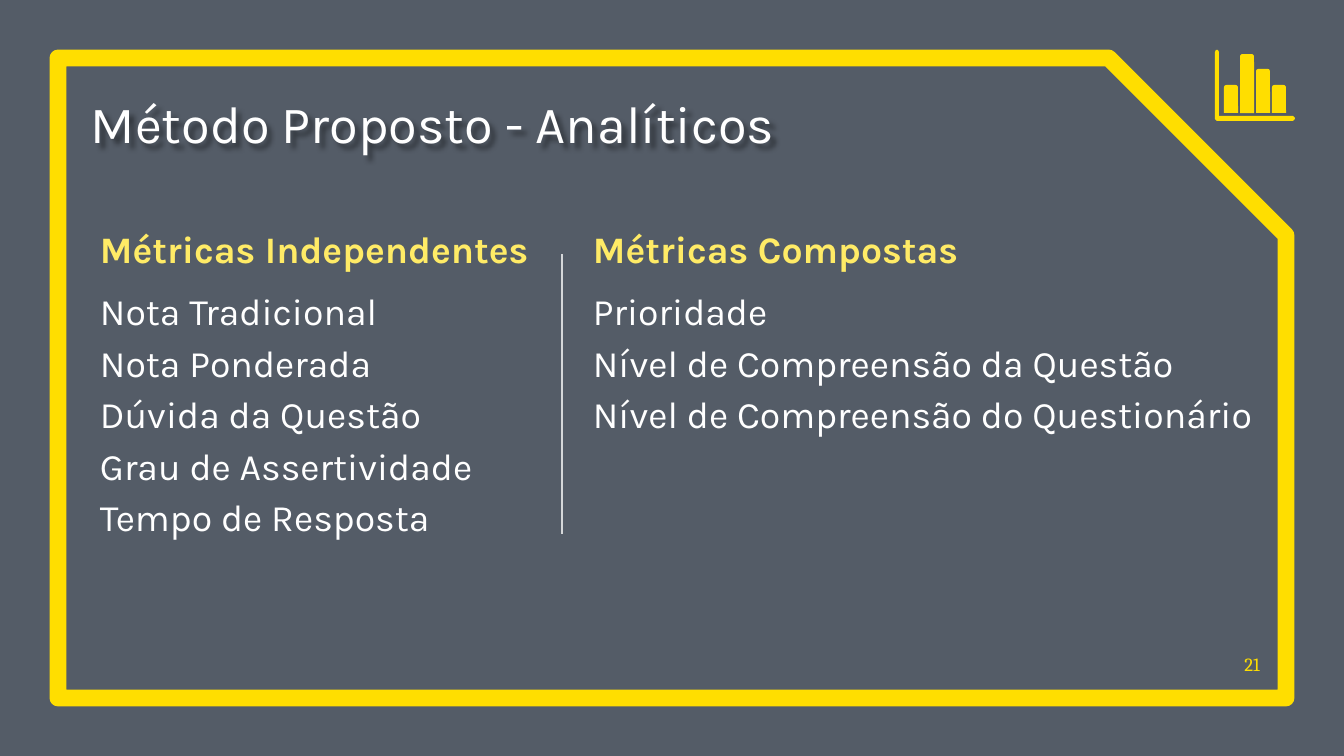
"""Build the slide listing independent and composite analytics metrics."""
import lxml.etree
import pptx
import pptx.dml.color
import pptx.enum.shapes
import pptx.enum.text
import pptx.oxml
import pptx.oxml.ns
import pptx.util

PX = 914400 / 134.4
COLORS = {
    "background": "545C67",
    "yellow": "FFDE00",
    "heading": "FFEB66",
    "text": "FFFFFF",
    "divider": "D5D7D9",
}
SHAPES = pptx.enum.shapes.MSO_SHAPE
ANCHORS = pptx.enum.text.MSO_ANCHOR


def emu(*lengths):
    return [round(length * PX) for length in lengths]


def add_text(frame, texts, size, colors, font="Karla", anchor=ANCHORS.TOP):
    box = page.shapes.add_textbox(*emu(*frame))
    body = box.text_frame
    body.word_wrap = True
    body.vertical_anchor = anchor
    body.margin_left = body.margin_right = body.margin_top = body.margin_bottom = 0
    for index, (text, color) in enumerate(zip(texts, colors)):
        para = body.add_paragraph() if index else body.paragraphs[0]
        para.text = text
        para.font.name = font
        para.font.size = pptx.util.Pt(size)
        para.font.color.rgb = pptx.dml.color.RGBColor.from_string(COLORS[color])
    return box


deck = pptx.Presentation()
deck.slide_width, deck.slide_height = emu(1344, 756)
page = deck.slides.add_slide(deck.slide_layouts[6])
yellow = pptx.dml.color.RGBColor.from_string(COLORS["yellow"])
backdrop = page.background.fill
backdrop.solid()
backdrop.fore_color.rgb = pptx.dml.color.RGBColor.from_string(COLORS["background"])

frame = page.shapes.add_shape(SHAPES.SNIP_1_RECTANGLE, *emu(58, 58, 1228, 640))
frame.adjustments[0] = 0.277
frame.shadow.inherit = False
frame.fill.background()
frame.line.color.rgb = yellow
frame.line.width = pptx.util.Pt(9)

title = add_text((91, 83, 988, 71), ["Método Proposto - Analíticos"], 28, ["text"],
                 anchor=ANCHORS.BOTTOM)
title.element.spPr.append(pptx.oxml.parse_xml(
    f'<a:effectLst {pptx.oxml.ns.nsdecls("a")}>'
    '<a:outerShdw blurRad="38100" dist="38100" dir="2700000" algn="tl">'
    '<a:srgbClr val="000000"><a:alpha val="43000"/></a:srgbClr>'
    '</a:outerShdw></a:effectLst>'))

columns = [
    ((100, 219, 450, 437), "Métricas Independentes",
     ["Nota Tradicional", "Nota Ponderada", "Dúvida da Questão",
      "Grau de Assertividade", "Tempo de Resposta"]),
    ((593, 219, 667, 246), "Métricas Compostas",
     ["Prioridade", "Nível de Compreensão da Questão",
      "Nível de Compreensão do Questionário"]),
]
for place, heading, metrics in columns:
    column = add_text(place, [heading, "\v".join(metrics)], 20, ["heading", "text"])
    heading_para, metrics_para = column.text_frame.paragraphs
    heading_para.font.bold = True
    heading_para.line_spacing = metrics_para.line_spacing = 1.15
    metrics_para.space_before = pptx.util.Pt(6)

number = add_text((1224, 637, 36, 38), ["21"], 10, ["yellow"], "Cambria", ANCHORS.BOTTOM)
number.text_frame.paragraphs[0].alignment = pptx.enum.text.PP_ALIGN.RIGHT

outline = page.shapes.build_freeform(1216, 50, scale=PX)
outline.add_line_segments([
    (1218, 50), (1219, 52), (1219, 116), (1293, 116), (1295, 118), (1295, 119),
    (1293, 121), (1217, 121), (1215, 119), (1215, 52),
])
icon_parts = [outline.convert_to_shape()]
for index, top in enumerate([85, 54, 69, 85]):
    bar = page.shapes.add_shape(SHAPES.ROUND_2_SAME_RECTANGLE,
                                *emu(1224 + 16 * index, top, 14, 113 - top))
    bar.adjustments[0] = 0.17
    icon_parts.append(bar)
for part in icon_parts:
    part.shadow.inherit = False
    part.fill.solid()
    part.fill.fore_color.rgb = yellow
    part.line.fill.background()

divider = page.shapes.add_connector(pptx.enum.shapes.MSO_CONNECTOR.STRAIGHT,
                                    *emu(562, 254, 562, 534))
divider.line.color.rgb = pptx.dml.color.RGBColor.from_string(COLORS["divider"])
divider.line.width = pptx.util.Pt(0.75)
lxml.etree.SubElement(divider.element.spPr, pptx.oxml.ns.qn("a:effectLst"))

deck.save("out.pptx")
